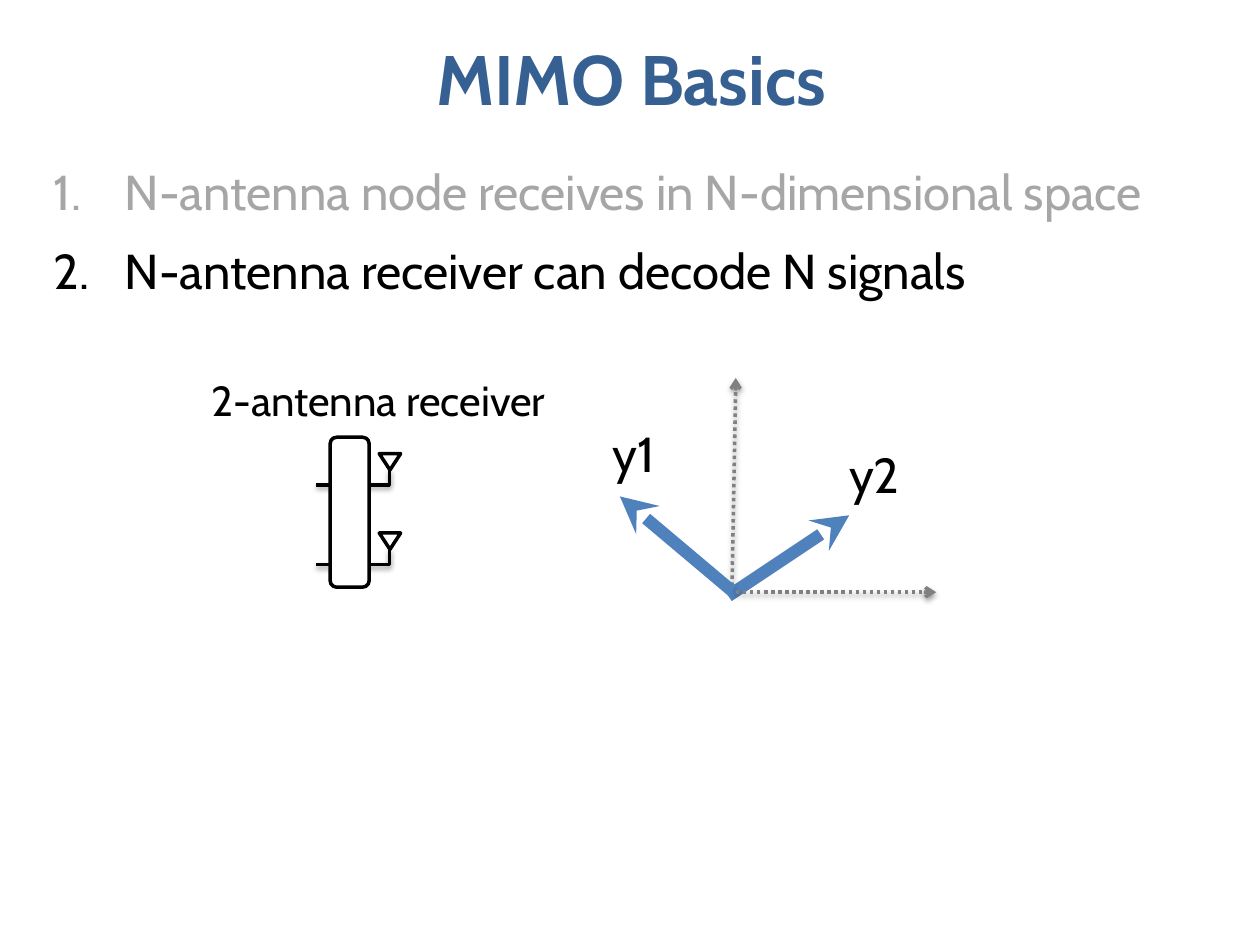
"""Build the MIMO basics slide with a receiver and its signal vectors."""
from lxml import etree
from pptx import Presentation
from pptx.dml.color import RGBColor
from pptx.enum import dml, shapes, text
from pptx.oxml.ns import qn
from pptx.util import Pt

hue = RGBColor.from_string
deck = Presentation()
deck.slide_width, deck.slide_height = Pt(720), Pt(540)
slide = deck.slides.add_slide(deck.slide_layouts[6])
parts = slide.shapes


def write(words, left, top, wide, high, size, color="000000", bold=False):
    box = parts.add_textbox(Pt(left), Pt(top), Pt(wide), Pt(high))
    frame = box.text_frame
    frame.text = words
    frame.word_wrap = True
    for para in frame.paragraphs:
        para.alignment = text.PP_ALIGN.CENTER
        for run in para.runs:
            font = run.font
            font.name, font.size, font.bold = "Cabin", Pt(size), bold
            font.color.rgb = hue(color)
    return frame


def stroke(shape, color, width, shade=False):
    shape.line.color.rgb = hue(color)
    shape.line.width = Pt(width)
    props = shape._element.spPr
    effect = etree.SubElement(props, qn("a:effectLst"))
    if shade:
        drop = etree.SubElement(effect, qn("a:outerShdw"), blurRad=str(Pt(3.1)),
                                dist=str(Pt(1.6)), dir="5400000", rotWithShape="0")
        tint = etree.SubElement(drop, qn("a:srgbClr"), val="000000")
        etree.SubElement(tint, qn("a:alpha"), val="38000")
    return props.find(qn("a:ln"))


title = write("MIMO Basics", 1.44, 0, 718.56, 88.56, 40, "376092", True)
title.vertical_anchor = text.MSO_ANCHOR.MIDDLE

points = write("N-antenna node receives in N-dimensional space\n"
               "N-antenna receiver can decode N signals",
               23.76, 88.56, 684, 419.76, 28)
for para, color in zip(points.paragraphs, ("A6A6A6", "000000")):
    para.alignment = text.PP_ALIGN.LEFT
    props = para._p.get_or_add_pPr()
    props.set("marL", str(Pt(40.5)))
    props.set("indent", str(Pt(-40.5)))
    etree.SubElement(props, qn("a:buFont"), typeface="+mj-lt")
    etree.SubElement(props, qn("a:buAutoNum"), type="arabicPeriod")
    para.runs[0].font.color.rgb = hue(color)
points.paragraphs[1].space_before = Pt(12)

for top in (304.56, 259.2):
    horn = parts.add_shape(shapes.MSO_SHAPE.ISOSCELES_TRIANGLE,
                           Pt(216.72), Pt(top), Pt(12.24), Pt(9.36))
    horn.rotation = 180
    horn.fill.solid()
    horn.fill.fore_color.rgb = hue("FFFFFF")
    stroke(horn, "000000", 2)
    base = top + 18
    path = parts.build_freeform(Pt(180.72), Pt(base))
    path.add_line_segments([(Pt(222.48), Pt(base)), (Pt(222.48), Pt(top + 9.36))],
                           close=False)
    wire = path.convert_to_shape()
    wire.fill.background()
    stroke(wire, "000000", 2, True)

node = parts.add_shape(shapes.MSO_SHAPE.ROUNDED_RECTANGLE,
                       Pt(188.64), Pt(249.84), Pt(22.32), Pt(85.68))
node.fill.solid()
node.fill.fore_color.rgb = hue("FFFFFF")
stroke(node, "000000", 2)

for ends, axis in (((485.28, 294.48, 416.16, 340.56), False),
                   ((418.32, 334.8, 420.48, 216), True),
                   ((420.48, 338.4, 534.96, 338.4), True),
                   ((354.24, 283.68, 418.32, 337.68), False)):
    arrow = parts.add_connector(shapes.MSO_CONNECTOR.STRAIGHT, *map(Pt, ends))
    if axis:
        arrow.line.dash_style = dml.MSO_LINE.ROUND_DOT
        line = stroke(arrow, "808080", 2, True)
        etree.SubElement(line, qn("a:tailEnd"), type="arrow")
    else:
        line = stroke(arrow, "4F81BD", 7)
        etree.SubElement(line, qn("a:headEnd"), type="stealth")

for words, left, top, wide, size in (("2-antenna receiver", 95.76, 210.24, 241.2, 24),
                                     ("y1", 326.16, 238.32, 72, 28.1),
                                     ("y2", 463.68, 250.56, 72, 28.1)):
    write(words, left, top, wide, 59.76, size)

deck.save("out.pptx")
